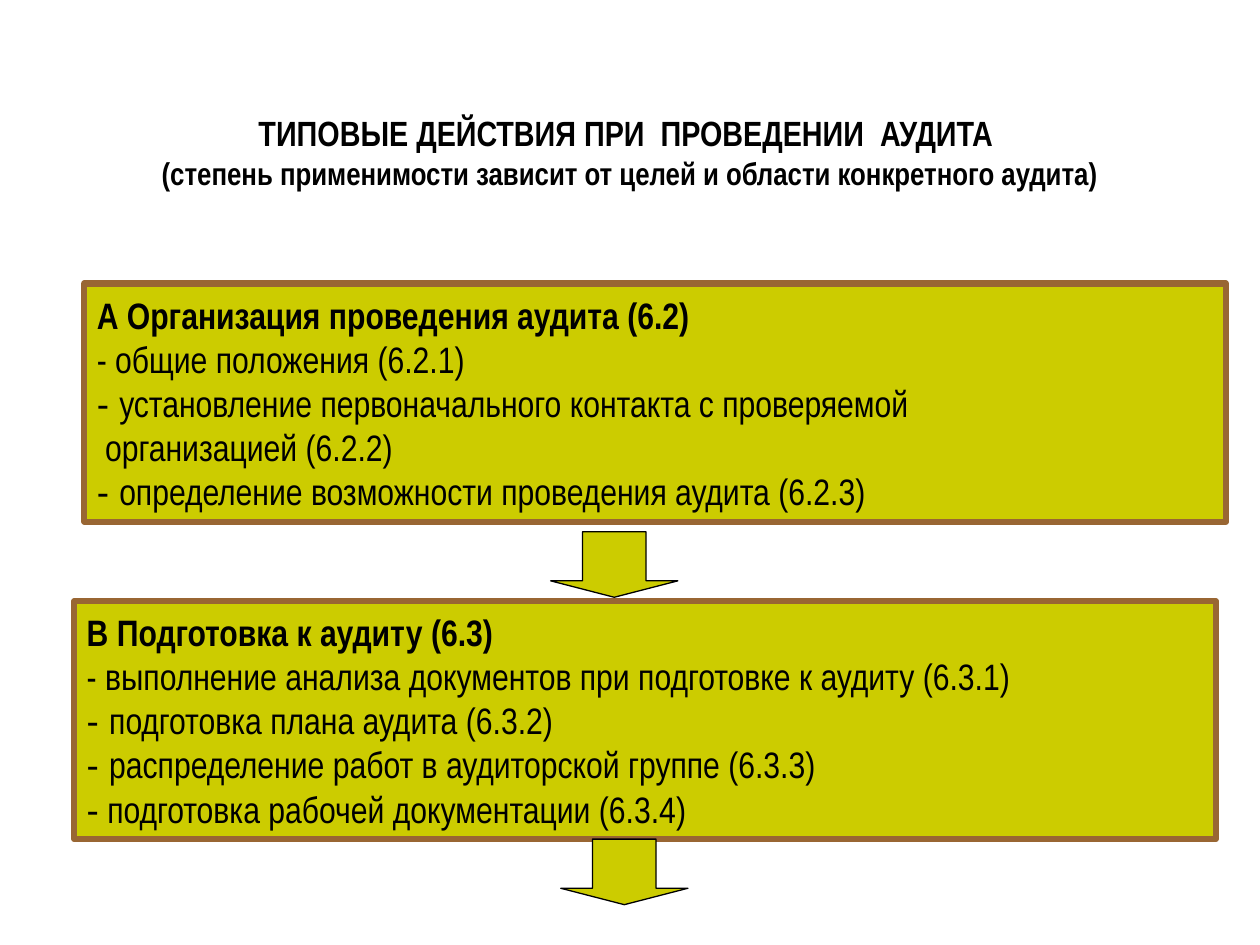
from dataclasses import dataclass

from pptx import Presentation
from pptx.dml.color import RGBColor
from pptx.enum.shapes import MSO_SHAPE
from pptx.enum.text import MSO_ANCHOR, MSO_AUTO_SIZE, PP_ALIGN
from pptx.shapes.autoshape import Shape
from pptx.slide import Slide
from pptx.util import Inches, Pt

BLACK = RGBColor(0x00, 0x00, 0x00)
OLIVE = RGBColor(0xCC, 0xCC, 0x00)
BROWN = RGBColor(0x99, 0x66, 0x33)
TEXT_FONT = "Arial Narrow"
DASH_FONT = "Arial"


@dataclass(frozen=True)
class Line:
    text: str
    dash: str = ""


@dataclass(frozen=True)
class Stage:
    left: float
    top: float
    arrow_left: float
    arrow_top: float
    heading: str
    lines: tuple[Line, ...]


STAGES = (
    Stage(0.67, 2.25, 4.37, 4.22, "А Организация проведения аудита (6.2)", (
        Line("- общие положения (6.2.1)"),
        Line("установление первоначального контакта с проверяемой", "- "),
        Line(" организацией (6.2.2)"),
        Line("определение возможности проведения аудита (6.2.3)", "- "),
    )),
    Stage(0.59, 4.77, 4.45, 6.66, "В Подготовка к аудиту (6.3)", (
        Line("- выполнение анализа документов при подготовке к аудиту (6.3.1)"),
        Line("подготовка плана аудита (6.3.2)", "- "),
        Line("распределение работ в аудиторской группе (6.3.3)", "- "),
        Line(" подготовка рабочей документации (6.3.4)", "-"),
    )),
)


def format_run(run, size: float, bold: bool, name: str = TEXT_FONT) -> None:
    run.font.name = name
    run.font.size = Pt(size)
    run.font.bold = bold
    run.font.color.rgb = BLACK


def add_title(slide: Slide) -> None:
    title = slide.shapes.title
    title.left, title.top = Inches(0.5), Inches(0.58)
    title.width, title.height = Inches(9), Inches(1.25)
    frame = title.text_frame
    frame.auto_size = MSO_AUTO_SIZE.NONE
    frame.vertical_anchor = MSO_ANCHOR.MIDDLE
    paragraph = frame.paragraphs[0]
    paragraph.text = (
        "ТИПОВЫЕ ДЕЙСТВИЯ ПРИ  ПРОВЕДЕНИИ  АУДИТА \v"
        "(степень применимости зависит от целей и области конкретного аудита)"
    )
    paragraph.alignment = PP_ALIGN.CENTER
    for run, size in zip(paragraph.runs, (20, 18)):
        format_run(run, size, True)


def add_filled_shape(slide: Slide, kind: MSO_SHAPE, left: float, top: float,
                     width: float, height: float, line_color: RGBColor,
                     line_width: float) -> Shape:
    shape = slide.shapes.add_shape(
        kind, Inches(left), Inches(top), Inches(width), Inches(height))
    shape.shadow.inherit = False
    shape.fill.solid()
    shape.fill.fore_color.rgb = OLIVE
    shape.line.color.rgb = line_color
    shape.line.width = Pt(line_width)
    return shape


def add_stage(slide: Slide, stage: Stage) -> None:
    box = add_filled_shape(slide, MSO_SHAPE.RECTANGLE, stage.left, stage.top,
                           9.06, 1.89, BROWN, 3.5)
    frame = box.text_frame
    frame.word_wrap = True
    frame.vertical_anchor = MSO_ANCHOR.MIDDLE
    frame.text = "\n".join([stage.heading] + [line.dash for line in stage.lines])
    heading, *paragraphs = frame.paragraphs
    format_run(heading.runs[0], 21, True)
    for paragraph, line in zip(paragraphs, stage.lines):
        for run in paragraph.runs:
            format_run(run, 21, False, DASH_FONT)
        run = paragraph.add_run()
        run.text = line.text
        format_run(run, 21, False)
    for paragraph in frame.paragraphs:
        paragraph.alignment = PP_ALIGN.LEFT
    arrow = add_filled_shape(slide, MSO_SHAPE.DOWN_ARROW, stage.arrow_left,
                             stage.arrow_top, 1.01, 0.52, BLACK, 0.75)
    arrow.adjustments[0] = 0.5
    arrow.adjustments[1] = 0.25


def main() -> None:
    presentation = Presentation()
    presentation.slide_width = Inches(10)
    presentation.slide_height = Inches(7.5)
    slide = presentation.slides.add_slide(presentation.slide_layouts[5])
    add_title(slide)
    for stage in STAGES:
        add_stage(slide, stage)
    presentation.save("out.pptx")


if __name__ == "__main__":
    main()
